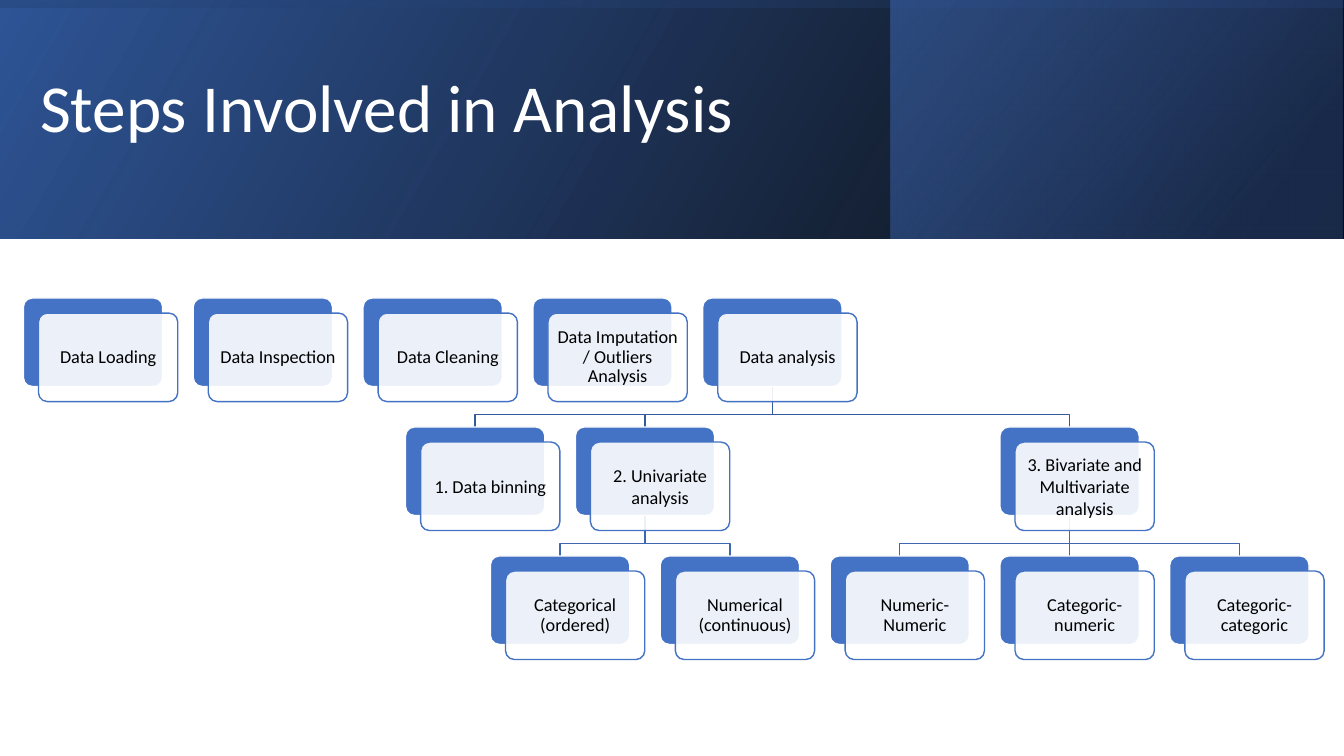
from lxml import etree
from pptx import Presentation
from pptx.dml.color import RGBColor
from pptx.enum.shapes import MSO_CONNECTOR, MSO_SHAPE
from pptx.enum.text import MSO_ANCHOR, PP_ALIGN
from pptx.oxml.ns import qn
from pptx.util import Cm, Pt

RECT = MSO_SHAPE.RECTANGLE
ROUND = MSO_SHAPE.ROUNDED_RECTANGLE
STRAIGHT = MSO_CONNECTOR.STRAIGHT
MIDDLE = MSO_ANCHOR.MIDDLE
CENTER = PP_ALIGN.CENTER

FONT = "Calibri"
HUES = {
    "white": "FFFFFF", "black": "000000", "blue": "4472C4", "deep": "2F5597",
    "navy": "203864", "upper": "365B9D", "lower": "3E67B2",
}
LEFT, TOP = 0.59, 7.51
STEP, DROP = 4.28, 3.25
WIDE, HIGH = 3.51, 2.23
SHIFT, BEND = 0.38, 0.7

BANDS = [
    ((0, 0, 33.87, 6.02), 0, 330, [(0, "black", 96), (100, "deep", 100)]),
    ((22.45, 0, 11.38, 6.02), 0, 320, [(19, "navy", 68), (100, "blue", 48)]),
    ((13.92, -13.92, 6.02, 33.87), 270, 350, [(23, "deep", 16), (99, "black", 45)]),
]
STEPS = [
    ("Data Loading", 0, 0, None),
    ("Data Inspection", 0, 1, None),
    ("Data Cleaning", 0, 2, None),
    ("Data Imputation / Outliers Analysis", 0, 3, None),
    ("Data analysis", 0, 4, None),
    ("1. Data binning", 1, 2.25, 4),
    ("2. Univariate analysis", 1, 3.25, 4),
    ("3. Bivariate and Multivariate analysis", 1, 5.75, 4),
    ("Categorical (ordered)", 2, 2.75, 6),
    ("Numerical (continuous)", 2, 3.75, 6),
    ("Numeric-Numeric", 2, 4.75, 7),
    ("Categoric-numeric", 2, 5.75, 7),
    ("Categoric-categoric", 2, 6.75, 7),
]


def hue(name):
    """Return the named colour."""
    return RGBColor.from_string(HUES[name])


def fade(shape, *rates):
    """Set the opacity, in percent, of the fill colours in turn."""
    for node, rate in zip(shape._element.spPr.iter(qn("a:srgbClr")), rates):
        etree.SubElement(node, qn("a:alpha")).set("val", str(rate * 1000))


def write(shape, text, size, color, space):
    """Put one paragraph of styled text, centred in height, into a shape."""
    frame = shape.text_frame
    frame.text = text
    frame.word_wrap = True
    frame.vertical_anchor = MIDDLE
    para = frame.paragraphs[0]
    para.line_spacing = space
    font = para.runs[0].font
    font.name, font.size = FONT, Pt(size)
    font.color.rgb = hue(color)
    return para


def band(slide, box, turn, angle, stops):
    """Draw a mirrored rectangle with a two-stop gradient."""
    shape = slide.shapes.add_shape(RECT, *map(Cm, box))
    shape.shadow.inherit = False
    shape.rotation = turn
    shape._element.spPr.xfrm.set("flipH", "1")
    shape.fill.gradient()
    shape.fill.gradient_angle = 360 - angle
    for stop, (place, color, _) in zip(shape.fill.gradient_stops, stops):
        stop.position = place / 100
        stop.color.rgb = hue(color)
    fade(shape, *[rate for _, _, rate in stops])
    shape.line.fill.background()


def plate(slide, x, y, fill, line):
    """Draw one rounded plate."""
    shape = slide.shapes.add_shape(ROUND, Cm(x), Cm(y), Cm(WIDE), Cm(HIGH))
    shape.shadow.inherit = False
    shape.adjustments[0] = 0.1
    shape.fill.solid()
    shape.fill.fore_color.rgb = hue(fill)
    shape.line.color.rgb = hue(line)
    shape.line.width = Pt(1)
    return shape


def card(slide, text, row, col):
    """Draw a back plate with a labelled front plate and return the back one."""
    x, y = LEFT + col * STEP, TOP + row * DROP
    back = plate(slide, x, y, "blue", "white")
    front = plate(slide, x + SHIFT, y + SHIFT, "white", "blue")
    fade(front, 90)
    para = write(front, text, 13, "black", 1.0 if row == 1 else 0.9)
    para.alignment = CENTER
    frame = front.text_frame
    frame.margin_left = frame.margin_right = Cm(0.13)
    frame.margin_top = frame.margin_bottom = Cm(0.13)
    return back


def link(slide, start, end, color):
    """Join the bottom of one plate to the top of another."""
    x, y = start.left + start.width // 2, start.top + start.height
    to = end.left + end.width // 2
    if x == to:
        line = slide.shapes.add_connector(STRAIGHT, x, y, to, end.top)
        line.begin_connect(start, 2)
        line.end_connect(end, 0)
        etree.SubElement(line._element.spPr, qn("a:effectLst"))
    else:
        bend = y + Cm(BEND)
        path = slide.shapes.build_freeform(x, y)
        path.add_line_segments([(x, bend), (to, bend), (to, end.top)], close=False)
        line = path.convert_to_shape()
        line.shadow.inherit = False
        line.fill.background()
    line.line.color.rgb = hue(color)
    line.line.width = Pt(1)
    return line


def main():
    """Build the slide and save it."""
    deck = Presentation()
    deck.slide_width, deck.slide_height = Cm(33.87), Cm(19.05)
    slide = deck.slides.add_slide(deck.slide_layouts[6])
    for item in BANDS:
        band(slide, *item)
    title = slide.shapes.add_textbox(Cm(0.76), Cm(0.46), Cm(27), Cm(4.65))
    write(title, "Steps Involved in Analysis", 48, "white", 0.9)
    cards = [card(slide, text, row, col) for text, row, col, _ in STEPS]
    for end, (_, row, _, root) in zip(cards, STEPS):
        if root is not None:
            line = link(slide, cards[root], end, "upper" if row == 1 else "lower")
            cards[0]._element.addprevious(line._element)
    deck.save("out.pptx")


if __name__ == "__main__":
    main()
